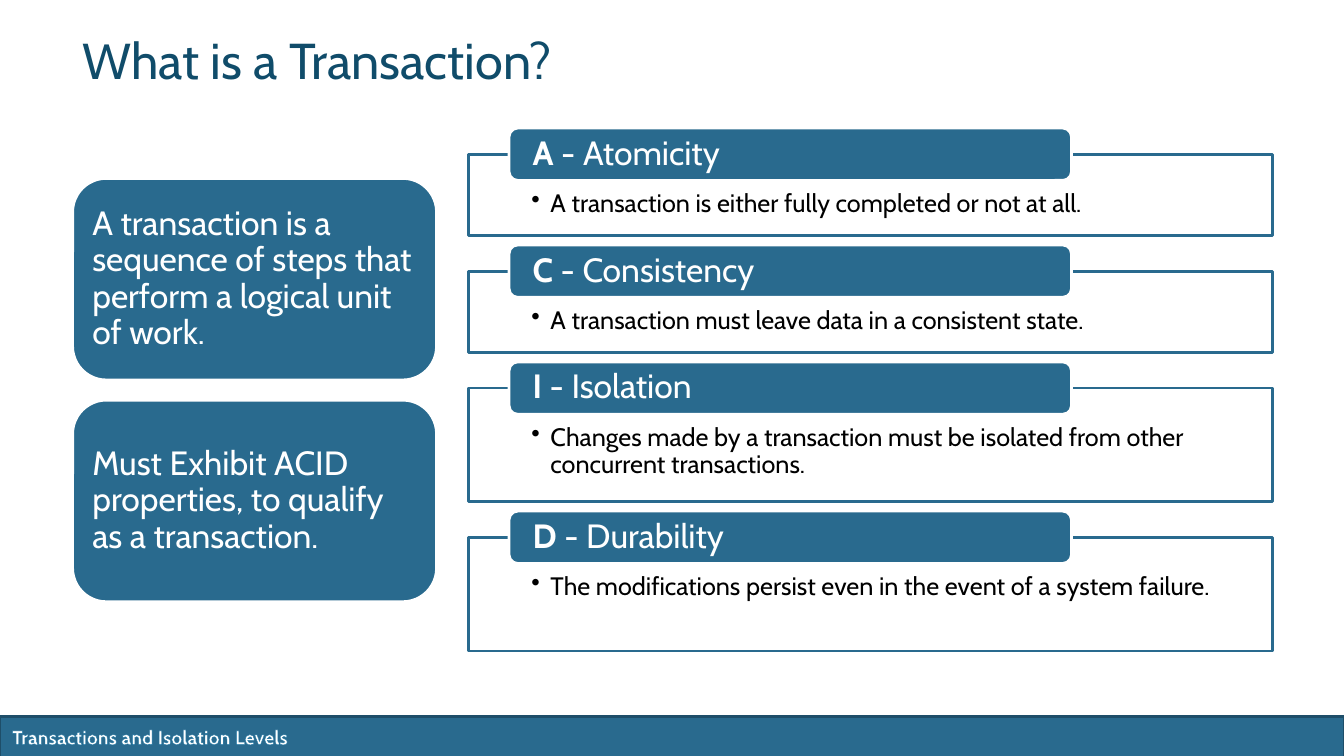
import pptx
import pptx.dml.color
import pptx.enum.shapes
import pptx.enum.text
import pptx.oxml.ns
import pptx.util
from lxml import etree

Inches = pptx.util.Inches
Pt = pptx.util.Pt
Shape = pptx.enum.shapes.MSO_SHAPE
Anchor = pptx.enum.text.MSO_ANCHOR
qn = pptx.oxml.ns.qn

FONT = "Cabin"
COLORS = {
    "blue": "296A8E",
    "edge": "1E4E69",
    "glow": "1872A0",
    "title": "104C6A",
    "white": "FFFFFF",
    "black": "000000",
}
CARDS = [
    "A transaction is a sequence of steps that perform a logical unit of work.",
    "Must Exhibit ACID properties, to qualify as a transaction.",
]
# Letter, rest of the heading, explanation, frame height
PROPERTIES = [
    ("A", " - Atomicity", "A transaction is either fully completed or not at all.", 0.81),
    ("C", " - Consistency", "A transaction must leave data in a consistent state.", 0.81),
    ("I", " - Isolation",
     "Changes made by a transaction must be isolated from other concurrent transactions.", 1.13),
    ("D", " - Durability",
     "The modifications persist even in the event of a system failure.", 1.13),
]


def rgb(name):
    return pptx.dml.color.RGBColor.from_string(COLORS[name])


def add_panel(page, kind, box, fill, line):
    panel = page.shapes.add_shape(kind, *(Inches(value) for value in box))
    panel.shadow.inherit = False
    panel.fill.solid()
    panel.fill.fore_color.rgb = rgb(fill)
    panel.line.color.rgb = rgb(line)
    panel.line.width = Pt(2)
    return panel


def write(shape, spans, size, color, insets, anchor=Anchor.MIDDLE, spacing=0.9):
    """Fill a shape with one left-aligned paragraph of (text, bold) spans."""
    frame = shape.text_frame
    frame.word_wrap = True
    frame.vertical_anchor = anchor
    (frame.margin_left, frame.margin_top,
     frame.margin_right, frame.margin_bottom) = (Inches(value) for value in insets)
    para = frame.paragraphs[0]
    para.alignment = pptx.enum.text.PP_ALIGN.LEFT
    para.line_spacing = spacing
    for text, bold in spans:
        span = para.add_run()
        span.text = text
        span.font.name = FONT
        span.font.size = Pt(size)
        span.font.bold = bold
        span.font.color.rgb = rgb(color)
    return para


def add_bullet(para):
    properties = para._p.get_or_add_pPr()
    properties.set("marL", str(Inches(0.19)))
    properties.set("indent", str(-Inches(0.19)))
    etree.SubElement(properties, qn("a:buChar")).set("char", "•")


def outline_text(span, color, width):
    line = etree.Element(qn("a:ln"), w=str(Pt(width)))
    fill = etree.SubElement(line, qn("a:solidFill"))
    etree.SubElement(fill, qn("a:srgbClr")).set("val", COLORS[color])
    span.font._element.insert(0, line)


def set_opacity(shape, percent):
    color = shape._element.spPr.find(qn("a:solidFill")).find(qn("a:srgbClr"))
    etree.SubElement(color, qn("a:alpha")).set("val", str(percent * 1000))


def add_footer(page, box):
    bar = add_panel(page, Shape.RECTANGLE, box, "blue", "edge")
    para = write(bar, [("Transactions and Isolation Levels", True)], 14, "white",
                 (0.12, 0.05, 0.1, 0.05), spacing=1.0)
    outline_text(para.runs[0], "glow", 0.8)


def add_title(page, box):
    title = page.shapes.add_textbox(*(Inches(value) for value in box))
    write(title, [("What is a Transaction?", False)], 36, "title",
          (0.1, 0.05, 0.1, 0.05), Anchor.TOP, Pt(35))


def add_cards(page, box):
    left, top, width, height = box
    gap = 0.2
    card_height = (height - gap * (len(CARDS) - 1)) / len(CARDS)
    for index, text in enumerate(CARDS):
        place = (left, top + index * (card_height + gap), width, card_height)
        card = add_panel(page, Shape.ROUNDED_RECTANGLE, place, "blue", "white")
        write(card, [(text, False)], 24, "white", (0.1, 0.1, 0.1, 0.1))


def add_properties(page, box):
    left, top, width = box
    tab_height, tab_rise, gap = 0.52, 0.26, 0.35
    top += tab_rise
    for letter, name, text, height in PROPERTIES:
        # Frame with the explanation
        frame = add_panel(page, Shape.RECTANGLE, (left, top, width, height), "white", "blue")
        set_opacity(frame, 90)
        add_bullet(write(frame, [(text, False)], 18, "black",
                         (0.62, 0.36, 0.62, 0.14), Anchor.TOP))
        # Heading tab across the top edge of the frame
        place = (left + width * 0.05, top - tab_rise, width * 0.7, tab_height)
        tab = add_panel(page, Shape.ROUNDED_RECTANGLE, place, "blue", "white")
        write(tab, [(letter, True), (name, False)], 24, "white", (0.21, 0, 0.21, 0))
        top += height + gap


def main():
    deck = pptx.Presentation()
    deck.slide_width = Inches(13.33)
    deck.slide_height = Inches(7.5)
    page = deck.slides.add_slide(deck.slide_layouts[6])
    add_footer(page, (0, 7.11, 13.33, 0.4))
    add_title(page, (0.72, 0.35, 11.9, 0.5))
    add_cards(page, (0.72, 1.77, 3.61, 4.2))
    add_properties(page, (4.65, 1.27, 7.97))
    deck.save("out.pptx")


if __name__ == "__main__":
    main()
